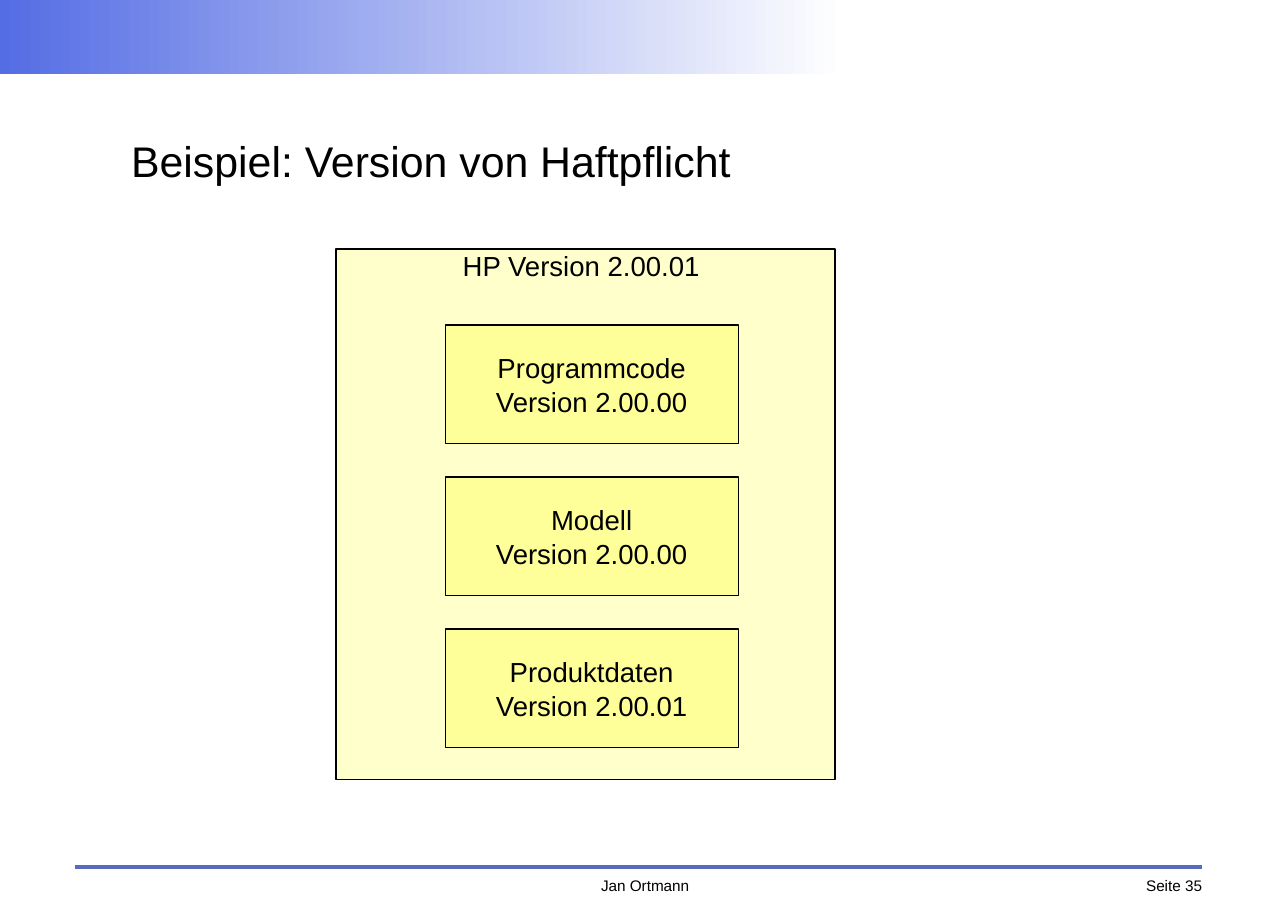
from dataclasses import dataclass

from lxml import etree
from pptx import Presentation
from pptx.dml.color import RGBColor
from pptx.enum.shapes import MSO_CONNECTOR, MSO_SHAPE
from pptx.enum.text import MSO_ANCHOR, PP_ALIGN
from pptx.oxml.ns import qn
from pptx.util import Inches, Pt

RECTANGLE = MSO_SHAPE.RECTANGLE
STRAIGHT = MSO_CONNECTOR.STRAIGHT
TOP, MIDDLE = MSO_ANCHOR.TOP, MSO_ANCHOR.MIDDLE
LEFT, CENTER, RIGHT = PP_ALIGN.LEFT, PP_ALIGN.CENTER, PP_ALIGN.RIGHT


@dataclass(frozen=True)
class Theme:
    """Colours, font and type sizes of the slide."""
    font: str = "Arial"
    ink: RGBColor = RGBColor(0x00, 0x00, 0x00)
    white: RGBColor = RGBColor(0xFF, 0xFF, 0xFF)
    banner: RGBColor = RGBColor(0x55, 0x6D, 0xE4)
    rule: RGBColor = RGBColor(0x57, 0x6B, 0xBF)
    box: RGBColor = RGBColor(0xFF, 0xFF, 0x99)
    title_size: int = 28
    body_size: int = 18
    footer_size: int = 10


THEME = Theme()
COMPONENTS = (
    ("Programmcode", "Version 2.00.00"),
    ("Modell", "Version 2.00.00"),
    ("Produktdaten", "Version 2.00.01"),
)


def write_text(shape, lines, size, align=CENTER, anchor=MIDDLE):
    """Fill a shape with one paragraph per line, without margins."""
    frame = shape.text_frame
    frame.word_wrap = True
    frame.vertical_anchor = anchor
    frame.margin_left = frame.margin_top = frame.margin_right = frame.margin_bottom = 0
    frame.text = "\n".join(lines)
    for paragraph in frame.paragraphs:
        paragraph.alignment = align
        paragraph.font.name = THEME.font
        paragraph.font.size = Pt(size)
        paragraph.font.color.rgb = THEME.ink


def add_text(slide, left, top, width, height, text, size, align, anchor):
    """Add a text box with a single line."""
    shape = slide.shapes.add_textbox(Inches(left), Inches(top), Inches(width), Inches(height))
    write_text(shape, [text], size, align, anchor)


def add_box(slide, left, top, width, height):
    """Add a yellow rectangle with a hairline border."""
    shape = slide.shapes.add_shape(
        RECTANGLE, Inches(left), Inches(top), Inches(width), Inches(height))
    shape.shadow.inherit = False
    shape.fill.solid()
    shape.fill.fore_color.rgb = THEME.box
    shape.line.color.rgb = THEME.ink
    shape.line.width = Pt(0)
    return shape


def add_banner(slide, left, top, width, height):
    """Add the strip that fades from blue to white."""
    banner = slide.shapes.add_shape(
        RECTANGLE, Inches(left), Inches(top), Inches(width), Inches(height))
    banner.shadow.inherit = False
    banner.line.fill.background()
    banner.fill.gradient()
    banner.fill.gradient_angle = 0
    for stop, color in zip(banner.fill.gradient_stops, (THEME.banner, THEME.white)):
        stop.color.rgb = color


def add_footer(slide, left, top, width, author, page):
    """Add the rule with the author and the page number below it."""
    right = left + width
    rule = slide.shapes.add_connector(
        STRAIGHT, Inches(left), Inches(top), Inches(right), Inches(top))
    rule.line.color.rgb = THEME.rule
    rule.line.width = Pt(2.83)
    etree.SubElement(rule._element.spPr, qn("a:effectLst"))
    text_top = top + 0.08
    add_text(slide, left + 4.37, text_top, 1.61, 0.2, author, THEME.footer_size, CENTER, TOP)
    add_text(slide, right - 1.13, text_top, 1.13, 0.2, page, THEME.footer_size, RIGHT, TOP)


def add_version(slide, left, top, width, height, heading, components):
    """Add the translucent version box with its stack of components."""
    container = add_box(slide, left, top, width, height)
    color = container.fill._xPr.find(qn("a:solidFill"))[0]
    etree.SubElement(color, qn("a:alpha"), val="50000")
    write_text(container, [heading], THEME.body_size, anchor=TOP)
    container.text_frame.margin_right = Inches(0.08)
    for index, lines in enumerate(components):
        component = add_box(slide, left + 0.99, top + 0.69 + index * 1.38, 2.66, 1.08)
        write_text(component, lines, THEME.body_size)


def main():
    """Build the slide and save it."""
    presentation = Presentation()
    presentation.slide_width = Inches(11.69)
    presentation.slide_height = Inches(8.27)
    slide = presentation.slides.add_slide(presentation.slide_layouts[6])
    add_footer(slide, 0.68, 7.87, 10.23, "Jan Ortmann", "Seite 35")
    add_banner(slide, 0, 0, 7.67, 0.67)
    add_text(slide, 1.19, 0.95, 9.31, 1.02, "Beispiel: Version von Haftpflicht",
             THEME.title_size, LEFT, MIDDLE)
    add_version(slide, 3.05, 2.26, 4.53, 4.82, "HP Version 2.00.01", COMPONENTS)
    presentation.save("out.pptx")


if __name__ == "__main__":
    main()
